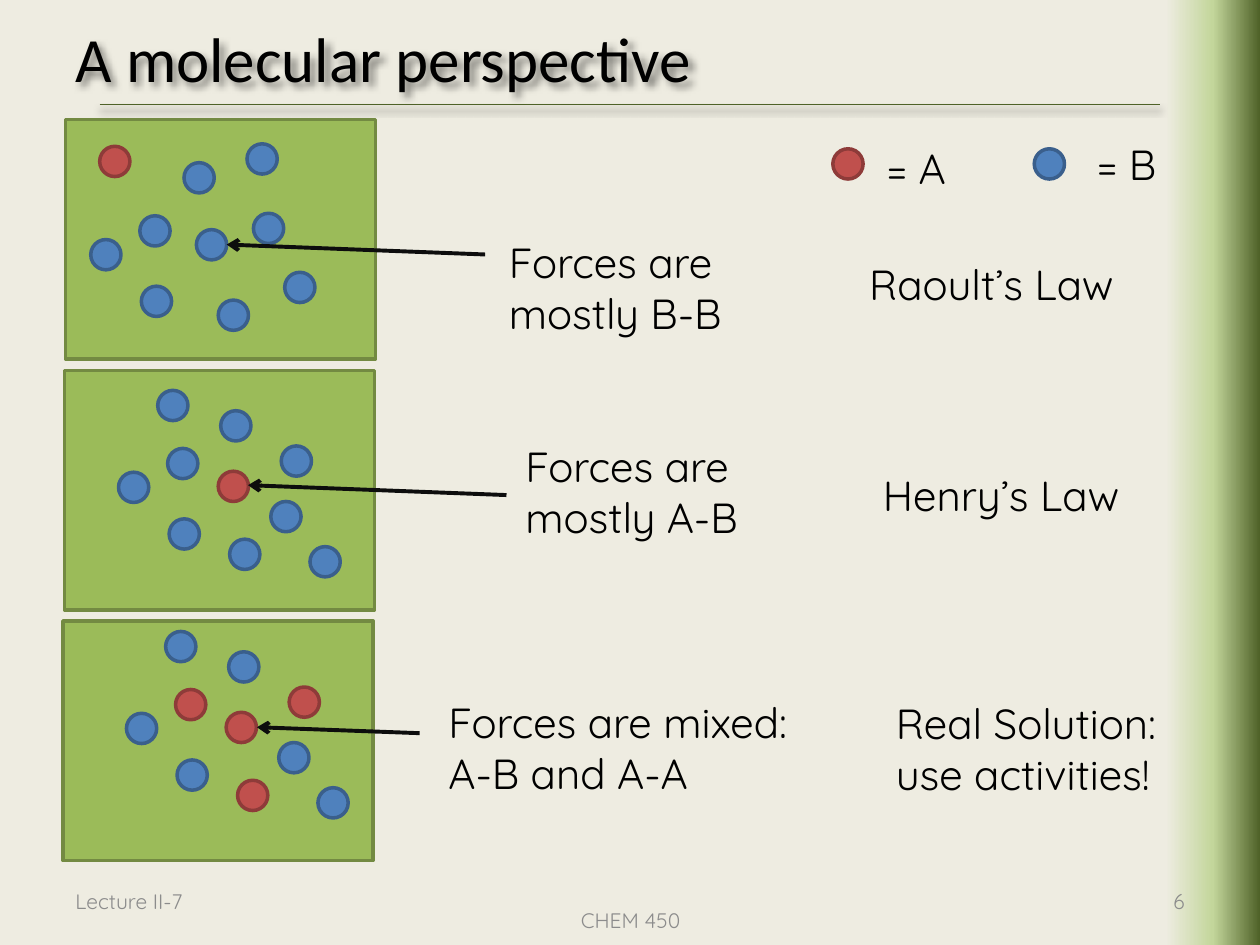
from copy import deepcopy

from lxml import etree
from pptx import Presentation
from pptx.dml.color import RGBColor
from pptx.enum.shapes import MSO_CONNECTOR, MSO_SHAPE
from pptx.enum.text import MSO_ANCHOR, MSO_AUTO_SIZE, PP_ALIGN
from pptx.oxml.ns import qn
from pptx.util import Cm, Pt

RECT, OVAL = MSO_SHAPE.RECTANGLE, MSO_SHAPE.OVAL
STRAIGHT = MSO_CONNECTOR.STRAIGHT
TOP, MIDDLE = MSO_ANCHOR.TOP, MSO_ANCHOR.MIDDLE
LEFT, CENTER, RIGHT = PP_ALIGN.LEFT, PP_ALIGN.CENTER, PP_ALIGN.RIGHT
GROW = MSO_AUTO_SIZE.SHAPE_TO_FIT_TEXT

BODY_FONT, TITLE_FONT = "Quicksand", "Calibri"
MOLECULE_SIZE = 0.61
BOX_SIZE = (6.25, 4.83)
# Fill and outline of each kind of molecule
MOLECULE_COLORS = {"A": ("C0504D", "8E3B39"), "B": ("4F81BD", "3A5F8C")}

# Molecule positions within a cluster, in cm
DILUTE_CLUSTER = [(1.88, 0.38), (0.99, 1.45), (0, 1.93), (0.18, 0.05),
                  (1.02, 2.87), (3.28, 1.4), (3.15, 0), (2.57, 3.15),
                  (2.13, 1.73), (3.91, 2.59)]
CENTERED_CLUSTER = [(2.06, 0.41), (0.99, 1.17), (0, 1.65), (2.01, 1.63),
                    (1.02, 2.59), (3.28, 1.12), (0.79, 0), (2.24, 3),
                    (3.07, 2.24), (3.86, 3.15)]

# Box corner, cluster corner, cluster, kinds of its molecules
SAMPLES = [
    ((1.32, 2.41), (1.83, 2.9), DILUTE_CLUSTER, "BBBABBBBBB"),
    ((1.3, 7.47), (2.39, 7.87), CENTERED_CLUSTER, "BBBABBBBBB"),
    ((1.27, 12.52), (2.55, 12.73), CENTERED_CLUSTER, "BABABABABB"),
]
ARROWS = [((9.78, 5.13), (4.57, 4.93)),
          ((10.21, 9.98), (5, 9.78)),
          ((8.46, 14.78), (5.18, 14.66))]
# Text, place, wrapping
LABELS = [
    ("= A", (17.63, 2.74, 1.9, 1.27), False),
    ("= B", (21.87, 2.67, 1.75, 1.27), False),
    ("Forces are mostly B-B", (10.01, 4.65, 6.88, 2.31), True),
    ("Forces are mostly A-B", (10.34, 8.76, 6.88, 2.31), True),
    ("Forces are mixed: A-B and A-A", (8.79, 13.92, 8.2, 2.31), True),
    ("Raoult’s Law", (17.27, 5.08, 5.72, 1.27), False),
    ("Henry’s Law", (17.55, 9.35, 5.46, 1.27), False),
    ("Real Solution: use activities!", (17.81, 13.94, 6.63, 2.31), True),
]
FOOTERS = [
    ("Lecture II-7", (1.27, 17.65, 5.92, 1.02), LEFT),
    ("CHEM 450", (8.69, 18.03, 8.05, 1.02), CENTER),
    ("6", (18.21, 17.65, 5.92, 1.02), RIGHT),
]


def color(hex_code):
    return RGBColor.from_string(hex_code)


def add_effects(shape, shadow=None):
    """Set the effects: none, or a shadow of (blur, distance, angle, opacity)."""
    effects = etree.SubElement(shape._element.spPr, qn("a:effectLst"))
    if shadow:
        blur, distance, angle, opacity = shadow
        outer = etree.SubElement(
            effects, qn("a:outerShdw"), blurRad=str(Pt(blur)),
            dist=str(Pt(distance)), dir=str(angle * 60000), rotWithShape="0")
        black = etree.SubElement(outer, qn("a:srgbClr"), val="000000")
        etree.SubElement(black, qn("a:alpha"), val=str(opacity * 1000))


def add_outlined(shapes, kind, place, fill, outline):
    shape = shapes.add_shape(kind, *map(Cm, place))
    shape.shadow.inherit = False
    shape.fill.solid()
    shape.fill.fore_color.rgb = color(fill)
    shape.line.color.rgb = color(outline)
    shape.line.width = Pt(2)


def add_molecule(shapes, kind, left, top):
    place = (left, top, MOLECULE_SIZE, MOLECULE_SIZE)
    add_outlined(shapes, OVAL, place, *MOLECULE_COLORS[kind])


def add_sample(slide, corner, cluster_corner, cluster, kinds):
    sample = slide.shapes.add_group_shape().shapes
    add_outlined(sample, RECT, corner + BOX_SIZE, "9BBB59", "738A42")
    left, top = cluster_corner
    for kind, (x, y) in zip(kinds, cluster):
        add_molecule(sample, kind, left + x, top + y)


def add_line(slide, start, end, hex_code, width, arrow=False, shadow=None):
    line = slide.shapes.add_connector(STRAIGHT, *map(Cm, start + end))
    line.line.color.rgb = color(hex_code)
    line.line.width = Pt(width)
    if arrow:
        etree.SubElement(line.line._get_or_add_ln(), qn("a:tailEnd"), type="arrow")
    add_effects(line, shadow)


def add_text(slide, text, place, size, font=BODY_FONT, hex_code="000000",
             align=LEFT, anchor=MIDDLE, wrap=True):
    box = slide.shapes.add_textbox(*map(Cm, place))
    frame = box.text_frame
    frame.text = text
    frame.word_wrap = wrap
    frame.vertical_anchor = anchor
    paragraph = frame.paragraphs[0]
    paragraph.alignment = align
    run_font = paragraph.runs[0].font
    run_font.name = font
    run_font.size = Pt(size)
    run_font.color.rgb = color(hex_code)
    return box


def add_label(slide, text, place, wrap):
    label = add_text(slide, text, place, 24, anchor=TOP, wrap=wrap)
    label.text_frame.auto_size = GROW
    label.text_frame.paragraphs[0].space_after = Pt(12)


def add_gradient_strip(slide, place, stops):
    strip = slide.shapes.add_shape(RECT, *map(Cm, place))
    strip.shadow.inherit = False
    strip.line.fill.background()
    strip.fill.gradient()
    strip.fill.gradient_angle = 180
    # The default gradient has two stops; a third goes between them
    stop_list = strip._element.spPr.find(qn("a:gradFill")).find(qn("a:gsLst"))
    stop_list.insert(1, deepcopy(stop_list[0]))
    for stop, (position, hex_code) in zip(strip.fill.gradient_stops, stops):
        stop.position = position
        stop.color.rgb = color(hex_code)


def main():
    deck = Presentation()
    deck.slide_width, deck.slide_height = Cm(25.4), Cm(19.05)
    slide = deck.slides.add_slide(deck.slide_layouts[6])

    # Background and side strip
    slide.background.fill.solid()
    slide.background.fill.fore_color.rgb = color("EEECE1")
    add_gradient_strip(slide, (23.5, 0, 1.9, 19.05),
                       [(0, "4F6228"), (0.5, "C3D69B"), (1, "EEECE1")])

    # Title with its rule
    add_line(slide, (2.01, 2.11), (23.39, 2.11), "4F6228", 0.75,
             shadow=(4, 3, 90, 40))
    title = add_text(slide, "A molecular perspective",
                     (1.27, -0.43, 22.86, 3.18), 36, TITLE_FONT)
    add_effects(title, (4, 3, 45, 50))

    # Footer
    for text, place, align in FOOTERS:
        add_text(slide, text, place, 12, hex_code="8C8C8C", align=align)

    # Samples and the arrows to their central molecules
    for sample in SAMPLES:
        add_sample(slide, *sample)
    for start, end in ARROWS:
        add_line(slide, start, end, "0D0D0D", 2.25, arrow=True)

    # Legend and explanations
    add_molecule(slide.shapes, "B", 20.85, 3)
    add_molecule(slide.shapes, "A", 16.79, 3)
    for label in LABELS:
        add_label(slide, *label)

    deck.save("out.pptx")


if __name__ == "__main__":
    main()
